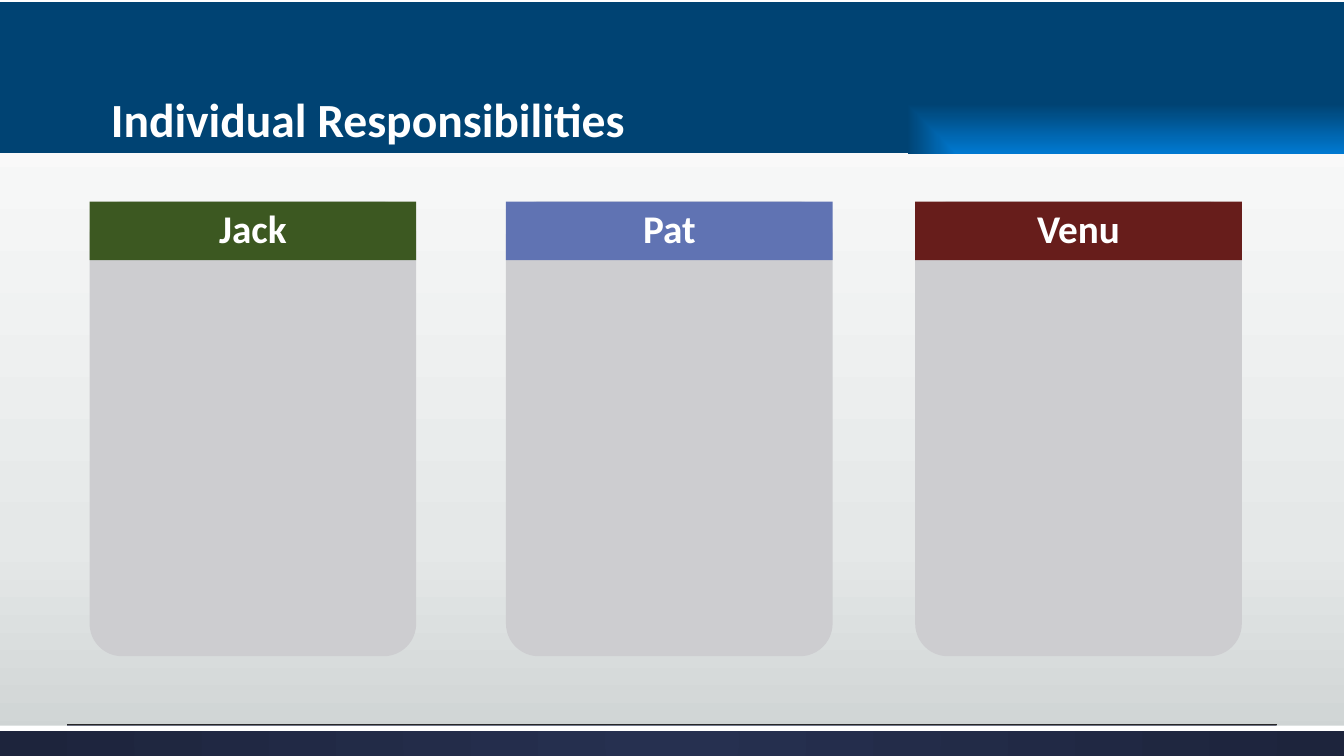
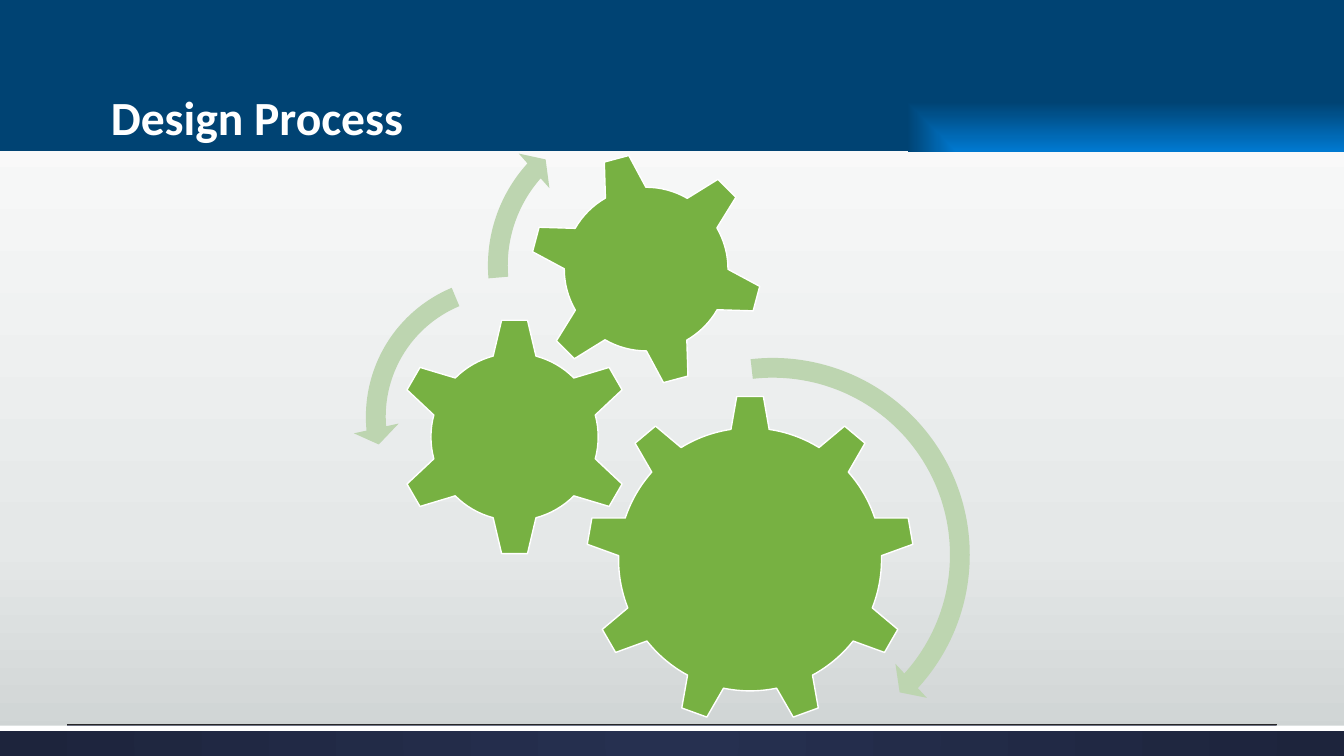
"""Build two slides: a three-column responsibility board and a gear diagram."""
import lxml.etree
import pptx
import pptx.dml.color
import pptx.enum.shapes
import pptx.enum.text
import pptx.oxml.ns
import pptx.util

RGBColor = pptx.dml.color.RGBColor
Preset = pptx.enum.shapes.MSO_SHAPE
Anchor = pptx.enum.text.MSO_ANCHOR
Align = pptx.enum.text.PP_ALIGN
qn = pptx.oxml.ns.qn

SLIDE_WIDTH = pptx.util.Inches(13.33)
SLIDE_HEIGHT = pptx.util.Inches(7.5)
FONT = "Calibri"

WHITE = RGBColor(0xFF, 0xFF, 0xFF)
MIST = RGBColor(0xE5, 0xE8, 0xE8)
SILVER = RGBColor(0xCD, 0xD2, 0xD2)
PANEL_GREY = RGBColor(0xCD, 0xCD, 0xD0)
RULE_DARK = RGBColor(0x26, 0x26, 0x26)
BRIGHT_BLUE = RGBColor(0x00, 0x79, 0xD0)
DEEP_BLUE = RGBColor(0x00, 0x43, 0x73)
FOOTER_NAVY = RGBColor(0x26, 0x30, 0x50)
FOOTER_DARK = RGBColor(0x1D, 0x24, 0x3C)
GEAR_GREEN = RGBColor(0x77, 0xB1, 0x42)
ARROW_GREEN = RGBColor(0xBD, 0xD5, 0xB0)

PANEL_TOP, PANEL_WIDTH, PANEL_HEIGHT, HEADING_HEIGHT = 26.67, 24.3, 60.13, 7.73
PANELS = [
    (6.67, "Jack", RGBColor(0x3C, 0x58, 0x21)),
    (37.65, "Pat", RGBColor(0x60, 0x73, 0xB3)),
    (68.1, "Venu", RGBColor(0x67, 0x1D, 0x1B)),
]
GEARS = [
    (Preset.GEAR_9, 43.58, 52.27, 43.47, 0),
    (Preset.GEAR_6, 29.4, 42, 31.6, 0),
    (Preset.GEAR_6, 39.38, 20.13, 30.93, 345),
]
ARROWS = [
    (Preset.CIRCULAR_ARROW, 41.86, 45.6, 55.6, (0.047, 2.99, 25.393, 158.123, 0.055)),
    (Preset.LEFT_CIRCULAR_ARROW, 26.26, 34.93, 40.4, (0.065, 4.3, 104.891, 148.378, 0.075)),
    (Preset.CIRCULAR_ARROW, 35.33, 13.33, 43.6, (0.06, 3.941, 133.138, 105.082, 0.07)),
]


def across(percent):
    """Return a share of the slide's width."""
    return round(SLIDE_WIDTH * percent / 100)


def down(percent):
    """Return a share of the slide's height."""
    return round(SLIDE_HEIGHT * percent / 100)


def set_gradient(properties, stops, path=None, focus=(50, 50, 50, 50)):
    """Replace a solid fill by a gradient, vertical unless a path is named."""
    gradient = lxml.etree.Element(qn("a:gradFill"), rotWithShape="1")
    stop_list = lxml.etree.SubElement(gradient, qn("a:gsLst"))
    for position, color in stops:
        stop = lxml.etree.SubElement(stop_list, qn("a:gs"), pos=str(position * 1000))
        lxml.etree.SubElement(stop, qn("a:srgbClr"), val=str(color))
    if path:
        shading = lxml.etree.SubElement(gradient, qn("a:path"), path=path)
        edges = {side: str(share * 1000) for side, share in zip("ltrb", focus)}
        lxml.etree.SubElement(shading, qn("a:fillToRect"), **edges)
    else:
        lxml.etree.SubElement(gradient, qn("a:lin"), ang="5400000", scaled="0")
    properties.replace(properties.find(qn("a:solidFill")), gradient)


def add_block(slide, preset, left, top, width, height, color):
    """Add a flat preset shape, placed by shares of the slide."""
    shape = slide.shapes.add_shape(
        preset, across(left), down(top), across(width), down(height))
    shape.shadow.inherit = False
    shape.fill.solid()
    shape.fill.fore_color.rgb = color
    shape.line.fill.background()
    return shape


def add_round(slide, preset, left, top, diameter, color):
    """Add a preset as wide as it is high, its diameter a share of the height."""
    width = diameter * SLIDE_HEIGHT / SLIDE_WIDTH
    return add_block(slide, preset, left, top, width, diameter, color)


def write_text(shape, text, size, anchor, alignment):
    """Write one bold white line in a shape."""
    frame = shape.text_frame
    frame.word_wrap = True
    frame.vertical_anchor = anchor
    paragraph = frame.paragraphs[0]
    paragraph.alignment = alignment
    paragraph.line_spacing = 0.9
    run = paragraph.add_run()
    run.text = text
    run.font.name = FONT
    run.font.size = pptx.util.Pt(size)
    run.font.bold = True
    run.font.color.rgb = WHITE


def add_rule(slide):
    """Add the thin line above the footer."""
    rule = slide.shapes.add_connector(
        pptx.enum.shapes.MSO_CONNECTOR.STRAIGHT,
        across(5), down(95.9), across(95), down(95.9))
    rule.line.color.rgb = RULE_DARK
    rule.line.width = pptx.util.Pt(0.75)
    lxml.etree.SubElement(rule.element.spPr, qn("a:effectLst"))


def add_framed_slide(presentation, title, band_top):
    """Add a slide with background, footer and title band."""
    slide = presentation.slides.add_slide(presentation.slide_layouts[6])
    slide.background.fill.solid()
    set_gradient(slide.element.find(".//" + qn("p:bgPr")),
                 [(0, WHITE), (72, MIST), (100, SILVER)])
    footer = add_block(slide, Preset.RECTANGLE, 0, 96, 100, 4, FOOTER_NAVY)
    set_gradient(footer.element.spPr, [(0, FOOTER_NAVY), (100, FOOTER_DARK)], "circle")
    add_block(slide, Preset.RECTANGLE, 0, 96, 100, 0.67, WHITE)
    add_rule(slide)
    band = add_block(slide, Preset.RECTANGLE, 0, band_top, 100, 20, DEEP_BLUE)
    set_gradient(band.element.spPr, [(0, BRIGHT_BLUE), (65, DEEP_BLUE)],
                 "rect", (100, 100, 0, 0))
    band.text_frame.margin_left = pptx.util.Inches(1.1)
    write_text(band, title, 34, Anchor.BOTTOM, Align.LEFT)
    return slide


def add_panel(slide, left, name, color):
    """Add a rounded panel under a coloured heading."""
    panel = add_block(slide, Preset.ROUNDED_RECTANGLE, left, PANEL_TOP,
                      PANEL_WIDTH, PANEL_HEIGHT, PANEL_GREY)
    panel.adjustments[0] = 0.1
    heading = add_block(slide, Preset.RECTANGLE, left, PANEL_TOP,
                        PANEL_WIDTH, HEADING_HEIGHT, color)
    write_text(heading, name, 28, Anchor.MIDDLE, Align.CENTER)


def add_gear(slide, preset, left, top, diameter, rotation):
    """Add a green gear with a white outline."""
    gear = add_round(slide, preset, left, top, diameter, GEAR_GREEN)
    gear.rotation = rotation
    gear.line.color.rgb = WHITE
    gear.line.width = pptx.util.Pt(1)


def add_turning_arrow(slide, preset, left, top, diameter, adjustments):
    """Add a curved arrow that shows a gear's direction."""
    arrow = add_round(slide, preset, left, top, diameter, ARROW_GREEN)
    for index, value in enumerate(adjustments):
        arrow.adjustments[index] = value


def main():
    """Build and save the presentation."""
    presentation = pptx.Presentation()
    presentation.slide_width = SLIDE_WIDTH
    presentation.slide_height = SLIDE_HEIGHT

    responsibilities = add_framed_slide(presentation, "Individual Responsibilities", 0.27)
    for panel in PANELS:
        add_panel(responsibilities, *panel)

    process = add_framed_slide(presentation, "Design Process", 0)
    for gear in GEARS:
        add_gear(process, *gear)
    for arrow in ARROWS:
        add_turning_arrow(process, *arrow)

    presentation.save("out.pptx")


if __name__ == "__main__":
    main()
